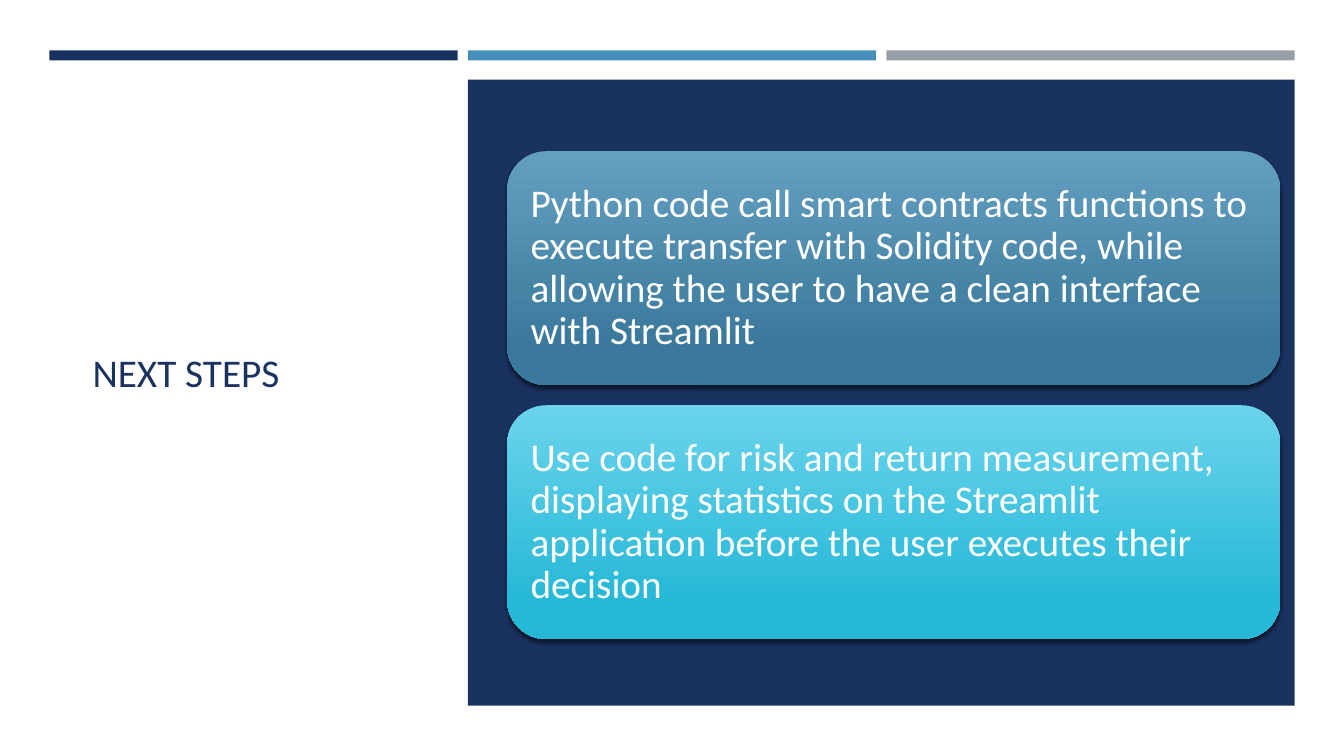
from lxml import etree
from pptx import Presentation
from pptx.dml.color import RGBColor
from pptx.enum.shapes import MSO_SHAPE
from pptx.enum.text import MSO_ANCHOR, PP_ALIGN
from pptx.oxml.ns import qn
from pptx.util import Inches, Pt

RECT = MSO_SHAPE.RECTANGLE
ROUND = MSO_SHAPE.ROUNDED_RECTANGLE
MIDDLE = MSO_ANCHOR.MIDDLE
LEFT = PP_ALIGN.LEFT

COLORS = {
    "navy": "1A3260", "blue": "4590B8", "gray": "969FA7", "white": "FFFFFF",
    "steel_top": "639FC1", "steel_end": "3A799B",
    "aqua_top": "6BD4EC", "aqua_end": "26B8D7", "black": "000000",
}
MARGIN, COL, GAP = 0.49, 4.05, 0.1
STEP = COL + GAP
PANEL_X = MARGIN + STEP

deck = Presentation()
deck.slide_width, deck.slide_height = Inches(13.33), Inches(7.5)
slide = deck.slides.add_slide(deck.slide_layouts[6])
back = slide.background.fill
back.solid()
back.fore_color.rgb = RGBColor.from_string(COLORS["white"])


def add_block(kind, x, y, w, h, color):
    block = slide.shapes.add_shape(kind, Inches(x), Inches(y), Inches(w), Inches(h))
    block.shadow.inherit = False
    block.line.fill.background()
    block.fill.solid()
    block.fill.fore_color.rgb = RGBColor.from_string(COLORS[color])
    return block


def set_text(shape, text, color, inset):
    frame = shape.text_frame
    frame.text = text
    frame.word_wrap = True
    frame.vertical_anchor = MIDDLE
    frame.margin_left = frame.margin_right = Inches(inset)
    para = frame.paragraphs[0]
    para.alignment = LEFT
    para.line_spacing = 0.9
    font = para.runs[0].font
    font.name, font.size = "Calibri", Pt(28)
    font.color.rgb = RGBColor.from_string(COLORS[color])


title = slide.shapes.add_textbox(Inches(0.82), Inches(1.14), Inches(3.34), Inches(5.15))
set_text(title, "NEXT STEPS", "navy", 0.1)

for col, color in enumerate(("navy", "blue", "gray")):
    add_block(RECT, MARGIN + col * STEP, 0.5, COL, 0.1, color)

add_block(RECT, PANEL_X, 0.79, COL + STEP, 6.21, "navy")

CARDS = (
    ("steel", "Python code call smart contracts functions to execute transfer with "
     "Solidity code, while allowing the user to have a clean interface with Streamlit"),
    ("aqua", "Use code for risk and return measurement, displaying statistics on the "
     "Streamlit application before the user executes their decision"),
)
for row, (tone, text) in enumerate(CARDS):
    card = add_block(ROUND, 5.03, 1.5 + row * 2.52, 7.67, 2.32, tone + "_top")
    card.fill.gradient()
    card.fill.gradient_angle = 270
    for stop, end, place in zip(card.fill.gradient_stops, ("_top", "_end"), (0, 0.84)):
        stop.color.rgb = RGBColor.from_string(COLORS[tone + end])
        stop.position = place
    effects = card._element.spPr.find(qn("a:effectLst"))
    shade = etree.SubElement(effects, qn("a:outerShdw"), blurRad=str(Pt(3)),
                             dist=str(Pt(2)), dir="5400000", rotWithShape="0")
    tint = etree.SubElement(shade, qn("a:srgbClr"), val=COLORS["black"])
    etree.SubElement(tint, qn("a:alpha"), val="55000")
    set_text(card, text, "white", 0.12)

deck.save("out.pptx")
